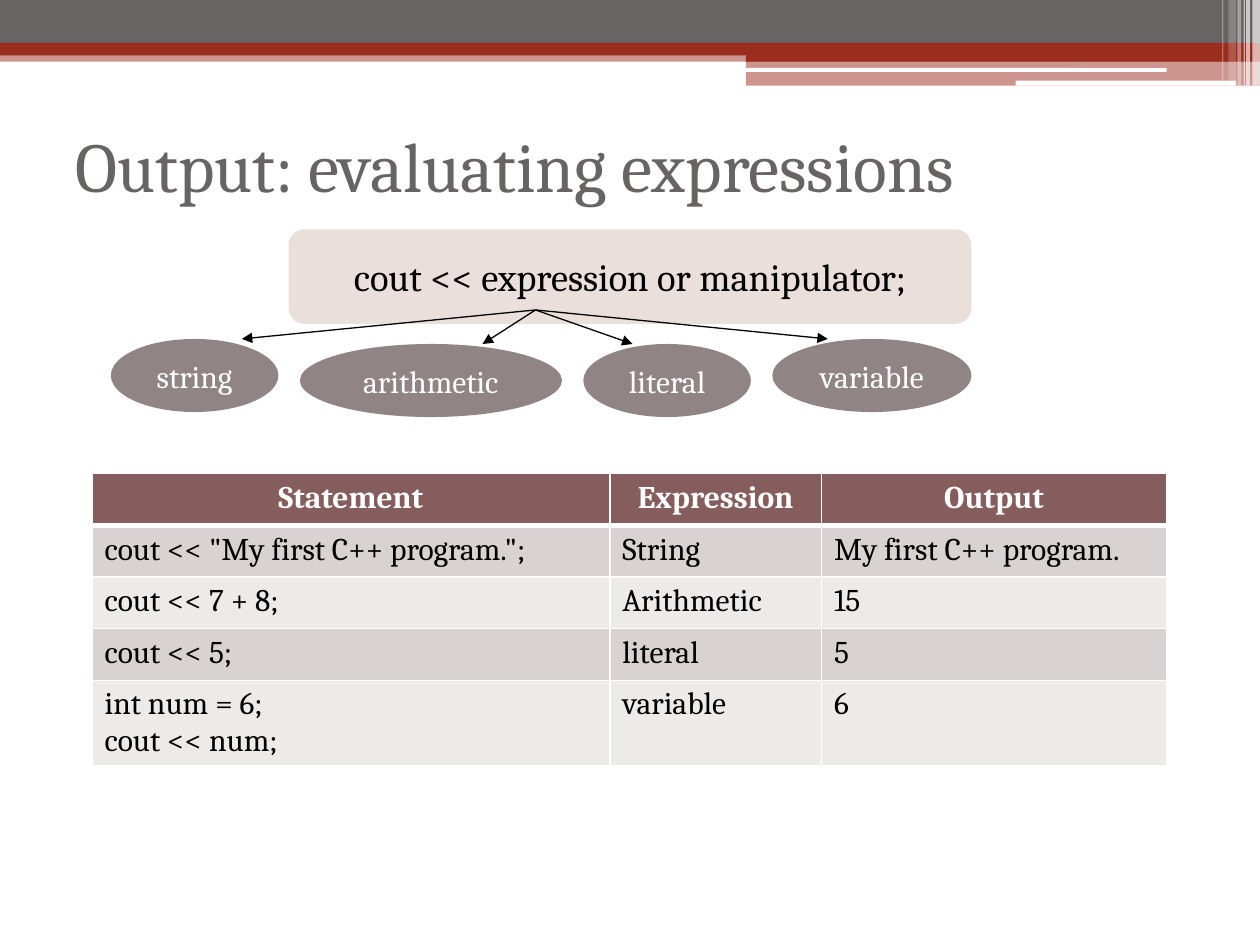
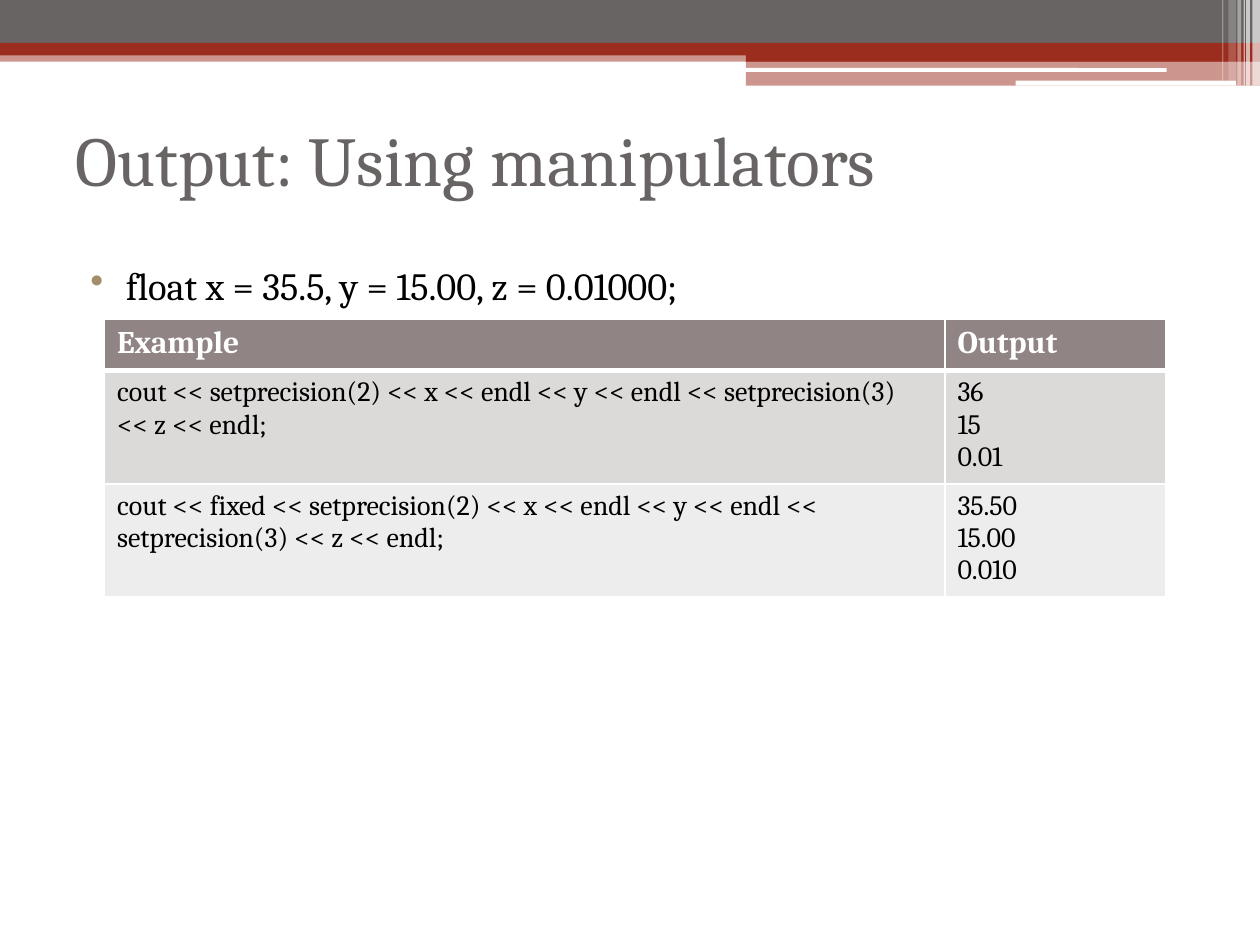
from lxml import etree
from pptx import Presentation
from pptx.dml.color import RGBColor
from pptx.enum.shapes import MSO_CONNECTOR, MSO_SHAPE
from pptx.enum.text import MSO_ANCHOR, MSO_AUTO_SIZE, PP_ALIGN
from pptx.oxml.ns import qn
from pptx.util import Pt

RECT, ROUND, OVAL = MSO_SHAPE.RECTANGLE, MSO_SHAPE.ROUNDED_RECTANGLE, MSO_SHAPE.OVAL
STRAIGHT = MSO_CONNECTOR.STRAIGHT
LEFT, CENTER = PP_ALIGN.LEFT, PP_ALIGN.CENTER
TOP, MIDDLE = MSO_ANCHOR.TOP, MSO_ANCHOR.MIDDLE
NO_FIT = MSO_AUTO_SIZE.NONE

FONT = "Cambria"
WHITE, BLACK = "FFFFFF", "000000"
GREY, RED = "696464", "9B2D1F"
TAUPE, MAROON, TAN, BLUSH = "918485", "855D5D", "A28E6A", "EBDFDB"
WIDTH, HEIGHT = 1000, 750

BANDS = [
    (RECT, (0, 40, WIDTH, 9), RED, 50),
    (RECT, (0, 0, WIDTH, 34), GREY, 100),
    (RECT, (0, 34, WIDTH, 10), RED, 100),
    (RECT, (592, 39, 408, 10), RED, 100),
    (RECT, (592, 48, 408, 20), RED, 50),
    (ROUND, (591, 54, 335, 3), WHITE, 100),
    (ROUND, (806, 64, 175, 4), WHITE, 100),
]
STRIPES = [(994, 6, 68, 65), (989, 3, 68, 65), (987, 1, 68, 60),
           (982, 3, 68, 40), (975, 6, 64, 20), (970, 1, 64, 30)]


def px(n):
    return n * 9144


def color(value):
    return RGBColor.from_string(value)


def sub(parent, tag, **attrs):
    return etree.SubElement(parent, qn(tag), attrs)


def write(tf, text, size=18, fill=BLACK, bold=False, align=LEFT, anchor=TOP):
    tf.word_wrap = True
    tf.vertical_anchor = anchor
    for i, line in enumerate(text.split("\n")):
        p = tf.paragraphs[0] if i == 0 else tf.add_paragraph()
        p.alignment = align
        r = p.add_run()
        r.text = line
        r.font.name = FONT
        r.font.size = Pt(size)
        r.font.bold = bold
        r.font.color.rgb = color(fill)


def add_shape(s, kind, box, fill, alpha=100):
    sp = s.shapes.add_shape(kind, *map(px, box))
    sp.shadow.inherit = False
    sp.fill.solid()
    sp.fill.fore_color.rgb = color(fill)
    sp.line.fill.background()
    if alpha < 100:
        clr = sp.element.spPr.find(".//" + qn("a:srgbClr"))
        sub(clr, "a:alpha", val=str(alpha * 1000))
    return sp


def add_arrow(s, start, end):
    line = s.shapes.add_connector(STRAIGHT, *map(px, start + end))
    line.line.color.rgb = color(BLACK)
    line.line.width = Pt(0.75)
    spPr = line.element.spPr
    sub(spPr.find(qn("a:ln")), "a:tailEnd", type="triangle")
    sub(spPr, "a:effectLst")


def add_bands(s):
    for kind, box, fill, alpha in BANDS:
        add_shape(s, kind, box, fill, alpha)
    for x, w, h, alpha in STRIPES:
        add_shape(s, RECT, (x, 0, w, h), WHITE, alpha)


def add_slide(prs, title, top):
    s = prs.slides.add_slide(prs.slide_layouts[5])
    add_bands(s)
    sp = s.shapes.title
    sp.left, sp.top, sp.width, sp.height = map(px, (50, top, 900, 117))
    sp.text_frame.auto_size = NO_FIT
    write(sp.text_frame, title, size=40, fill=GREY, anchor=MIDDLE)
    return s


def set_borders(cell, row):
    tcPr = cell._tc.get_or_add_tcPr()
    widths = {"L": 1, "R": 1, "T": 3 if row == 1 else 1, "B": 3 if row == 0 else 1}
    for i, (side, width) in enumerate(widths.items()):
        ln = etree.Element(qn("a:ln" + side), w=str(Pt(width)))
        sub(sub(ln, "a:solidFill"), "a:srgbClr", val=WHITE)
        tcPr.insert(i, ln)


def add_table(s, x, y, cols, heights, rows, header, bands, size=18, header_align=LEFT):
    box = (x, y, sum(cols), sum(heights))
    table = s.shapes.add_table(len(rows), len(cols), *map(px, box)).table
    for col, width in zip(table.columns, cols):
        col.width = px(width)
    for r, (texts, height) in enumerate(zip(rows, heights)):
        table.rows[r].height = px(height)
        for c, text in enumerate(texts):
            cell = table.cell(r, c)
            cell.fill.solid()
            cell.fill.fore_color.rgb = color(bands[(r - 1) % 2] if r else header)
            set_borders(cell, r)
            if r:
                write(cell.text_frame, text, size=size)
            else:
                write(cell.text_frame, text, fill=WHITE, bold=True, align=header_align)


def add_expression_diagram(s, x, y):
    statement = add_shape(s, ROUND, (x + 141, y, 542, 75), BLUSH)
    write(statement.text_frame, "cout << expression or manipulator;",
          size=22, align=CENTER, anchor=MIDDLE)
    kinds = [("string", 133, 87, 104), ("arithmetic", 208, 91, 295),
             ("literal", 133, 91, 414), ("variable", 158, 87, 569)]
    left = x
    for name, width, top, _ in kinds:
        oval = add_shape(s, OVAL, (left, y + top, width, 58), TAUPE)
        write(oval.text_frame, name, fill=WHITE, align=CENTER, anchor=MIDDLE)
        left += width + 17
    for _, _, top, tip in kinds:
        add_arrow(s, (x + 337, y + 64), (x + tip, y + top))


def add_bullet(s, box, text):
    tf = s.shapes.add_textbox(*map(px, box)).text_frame
    tf.margin_top = px(8)
    write(tf, text, size=22)
    pPr = tf.paragraphs[0]._p.get_or_add_pPr()
    pPr.set("marL", str(px(40)))
    pPr.set("indent", str(px(-28)))
    sub(sub(pPr, "a:buClr"), "a:srgbClr", val=TAN)
    sub(pPr, "a:buChar", char="•")


def expressions_slide(prs):
    s = add_slide(prs, "Output: evaluating expressions", 72)
    add_expression_diagram(s, 88, 182)
    rows = [
        ("Statement", "Expression", "Output"),
        ('cout << "My first C++ program.";', "String", "My first C++ program."),
        ("cout << 7 + 8;", "Arithmetic", "15"),
        ("cout << 5;", "literal", "5"),
        ("int num = 6;\ncout << num;", "variable", "6"),
    ]
    add_table(s, 73, 376, (411, 168, 274), (41, 41, 41, 41, 68), rows,
              MAROON, ("D9D2D2", "EDEAEA"), header_align=CENTER)


def manipulators_slide(prs):
    s = add_slide(prs, "Output: Using manipulators", 67)
    add_bullet(s, (50, 200, 900, 450), "float x = 35.5, y = 15.00, z = 0.01000;")
    rows = [
        ("Example", "Output"),
        ("cout << setprecision(2) << x << endl << y << endl << setprecision(3)"
         " << z << endl;", "36\n15\n0.01"),
        ("cout << fixed << setprecision(2) << x << endl << y << endl <<"
         " setprecision(3) << z << endl;", "35.50\n15.00\n0.010"),
    ]
    add_table(s, 83, 253, (667, 175), (41, 86, 86), rows,
              TAUPE, ("DCD9D9", "EEEDED"), size=16)


def main():
    prs = Presentation()
    prs.slide_width, prs.slide_height = px(WIDTH), px(HEIGHT)
    expressions_slide(prs)
    manipulators_slide(prs)
    prs.save("out.pptx")


if __name__ == "__main__":
    main()
